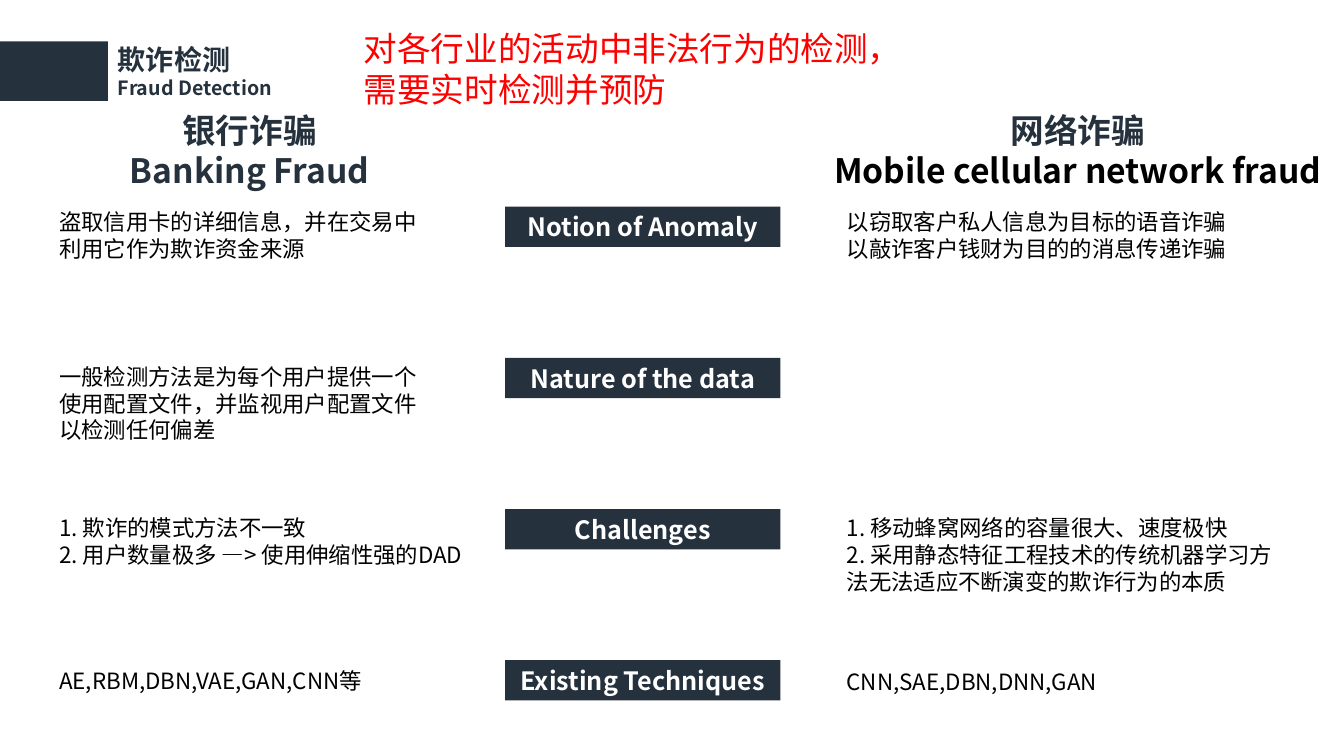
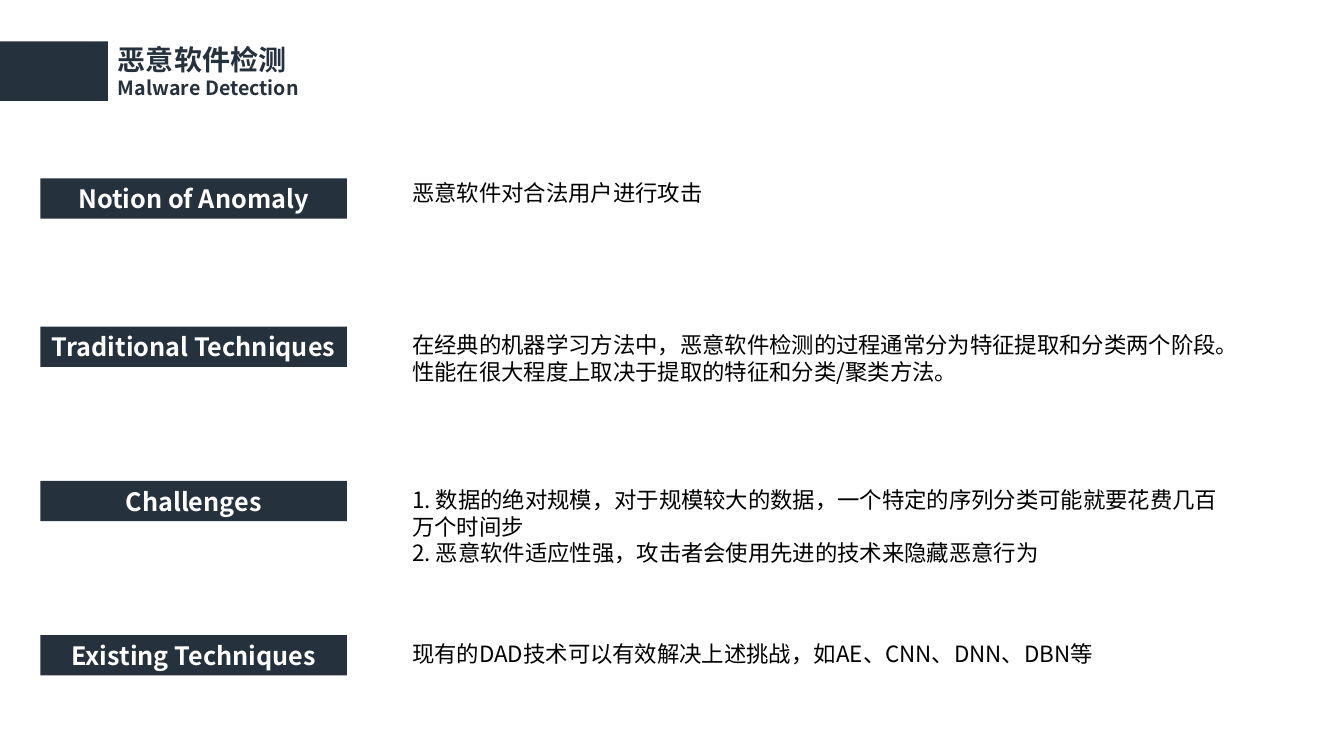
from lxml import etree
from pptx import Presentation
from pptx.dml.color import RGBColor
from pptx.enum.shapes import MSO_SHAPE
from pptx.enum.text import MSO_ANCHOR, MSO_AUTO_SIZE, PP_ALIGN
from pptx.oxml.ns import qn
from pptx.util import Inches, Pt

RECT = MSO_SHAPE.RECTANGLE
TOP, MIDDLE = MSO_ANCHOR.TOP, MSO_ANCHOR.MIDDLE
LEFT, CENTER = PP_ALIGN.LEFT, PP_ALIGN.CENTER
FIXED = MSO_AUTO_SIZE.NONE
COLORS = {"navy": "26313E", "white": "FFFFFF", "black": "000000", "red": "FF0000"}
FONT = "Noto Sans CJK SC"


def write(frame, lines, align=LEFT, anchor=TOP):
    """Fill a frame with one paragraph per (text, size, color, bold, font) line."""
    frame.word_wrap = True
    frame.auto_size = FIXED
    frame.vertical_anchor = anchor
    for i, (text, size, color, bold, face) in enumerate(lines):
        para = frame.add_paragraph() if i else frame.paragraphs[0]
        para.alignment = align
        run = para.add_run()
        run.text = text
        font = run.font
        font.size, font.bold, font.name = Pt(size), bold, face
        font.color.rgb = RGBColor.from_string(COLORS[color])
        east = etree.SubElement(run._r.get_or_add_rPr(), qn("a:ea"))
        east.set("typeface", FONT)


def add_text(slide, box, lines, align=LEFT):
    """Add a wrapped text box."""
    shape = slide.shapes.add_textbox(*map(Inches, box))
    write(shape.text_frame, lines, align)


def add_band(slide, box):
    """Add a plain navy rectangle."""
    band = slide.shapes.add_shape(RECT, *map(Inches, box))
    band.shadow.inherit = False
    band.fill.solid()
    band.fill.fore_color.rgb = RGBColor.from_string(COLORS["navy"])
    band.line.fill.background()
    return band


def add_page(deck, name, english):
    """Add a slide with its navy band and two-line title."""
    slide = deck.slides.add_slide(deck.slide_layouts[5])
    add_band(slide, (0, 0.41, 1.07, 0.59))
    title = slide.shapes.title
    title.left, title.top, title.width, title.height = map(
        Inches, (1.07, 0.37, 4.39, 0.67))
    write(title.text_frame, [(name, 20, "navy", True, FONT),
                             (english, 14, "navy", True, FONT)])
    return slide


def add_labels(slide, left, width, rows):
    """Add a column of labelled bands from (top, label) rows."""
    for top, label in rows:
        frame = add_band(slide, (left, top, width, 0.4)).text_frame
        frame.margin_left = frame.margin_right = 0
        write(frame, [(label, 18, "white", True, FONT)], CENTER, MIDDLE)


def add_notes(slide, left, notes):
    """Add a column of body texts from (top, width, height, lines) rows."""
    for top, width, height, lines in notes:
        add_text(slide, (left, top, width, height),
                 [(line, 16, "black", False, FONT) for line in lines])


def add_head(slide, left, width, name, english, color):
    """Add a centred two-line column heading."""
    add_text(slide, (left, 1.04, width, 0.91),
             [(name, 24, "navy", True, FONT), (english, 24, color, True, FONT)],
             CENTER)


def build_fraud(deck):
    """Build the fraud detection slide."""
    slide = add_page(deck, "欺诈检测", "Fraud Detection")
    add_text(slide, (3.51, 0.23, 5.73, 0.91),
             [("对各行业的活动中非法行为的检测，需要实时检测并预防",
               24, "red", False, "Arial")])
    add_head(slide, 0.28, 4.39, "银行诈骗", "Banking Fraud", "navy")
    add_head(slide, 8.04, 5.3, "网络诈骗", "Mobile cellular network fraud", "black")
    labels = ["Notion of Anomaly", "Nature of the data", "Challenges",
              "Existing Techniques"]
    add_labels(slide, 5.01, 2.73,
               [(2.05 + 1.5 * i, label) for i, label in enumerate(labels)])
    add_notes(slide, 0.49, [
        (2.02, 3.96, 0.64, ["盗取信用卡的详细信息，并在交易中利用它作为欺诈资金来源"]),
        (3.55, 3.96, 0.91,
         ["一般检测方法是为每个用户提供一个使用配置文件，并监视用户配置文件以检测任何偏差"]),
        (5.05, 4.3, 0.91, ["1. 欺诈的模式方法不一致",
                           "2. 用户数量极多 —> 使用伸缩性强的DAD"]),
        (6.57, 4.3, 0.37, ["AE,RBM,DBN,VAE,GAN,CNN等"]),
    ])
    add_notes(slide, 8.3, [
        (2.02, 4.54, 0.64, ["以窃取客户私人信息为目标的语音诈骗",
                            "以敲诈客户钱财为目的的消息传递诈骗"]),
        (5.05, 4.54, 0.91,
         ["1. 移动蜂窝网络的容量很大、速度极快",
          "2. 采用静态特征工程技术的传统机器学习方法无法适应不断演变的欺诈行为的本质"]),
        (6.58, 4.3, 0.37, ["CNN,SAE,DBN,DNN,GAN"]),
    ])


def build_malware(deck):
    """Build the malware detection slide."""
    slide = add_page(deck, "恶意软件检测", "Malware Detection")
    add_labels(slide, 0.4, 3.04, [
        (1.77, "Notion of Anomaly"), (3.24, "Traditional Techniques"),
        (4.77, "Challenges"), (6.3, "Existing Techniques")])
    add_notes(slide, 3.99, [
        (1.73, 3.96, 0.37, ["恶意软件对合法用户进行攻击"]),
        (3.24, 8.45, 0.64,
         ["在经典的机器学习方法中，恶意软件检测的过程通常分为特征提取和分类两个阶段。"
          "性能在很大程度上取决于提取的特征和分类/聚类方法。"]),
        (4.77, 8.24, 0.91,
         ["1. 数据的绝对规模，对于规模较大的数据，一个特定的序列分类可能就要花费几百万个时间步",
          "2. 恶意软件适应性强，攻击者会使用先进的技术来隐藏恶意行为"]),
        (6.3, 8.05, 0.37, ["现有的DAD技术可以有效解决上述挑战，如AE、CNN、DNN、DBN等"]),
    ])


def main():
    """Build and save the deck."""
    deck = Presentation()
    deck.slide_width, deck.slide_height = Inches(13.33), Inches(7.5)
    build_fraud(deck)
    build_malware(deck)
    deck.save("out.pptx")


if __name__ == "__main__":
    main()
